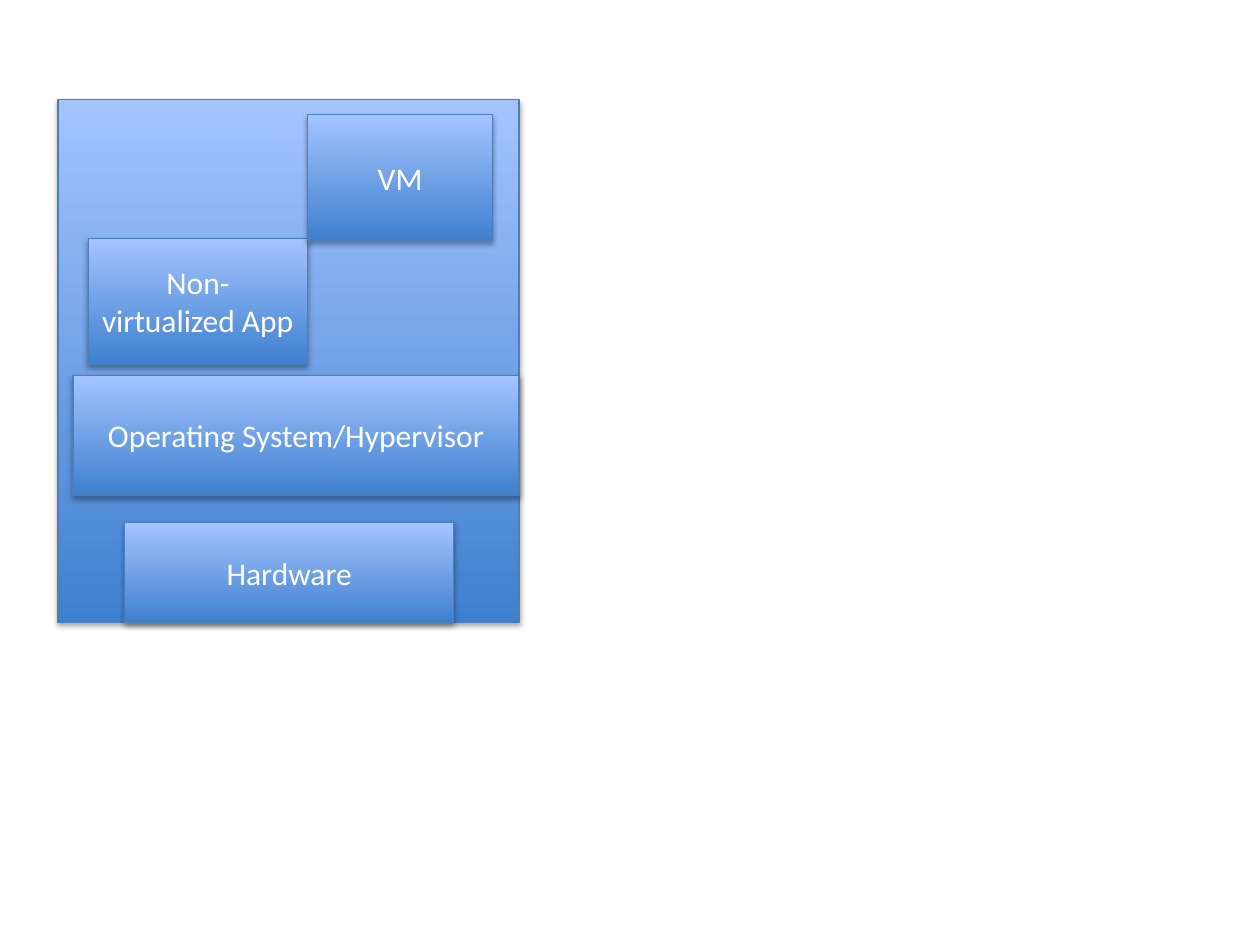
from lxml.etree import SubElement
from pptx import Presentation
from pptx.dml.color import RGBColor
from pptx.enum.shapes import MSO_SHAPE as Shape
from pptx.enum.text import MSO_ANCHOR as Anchor, PP_ALIGN as Align
from pptx.oxml.ns import qn
from pptx.util import Inches, Pt

COLORS = {
    "bottom": "3F80CE",
    "top": "A4C4FF",
    "border": "4B7EBC",
    "shadow": "000000",
    "label": "FFFFFF",
}
WIDTH, HEIGHT = Inches(10), Inches(7.5)
HOST = (4.6, 10.53, 36.6, 55.33)
LAYERS = [
    ("Hardware", (9.9, 55.33, 26.1, 10.53)),
    ("Operating System/Hypervisor", (5.8, 39.73, 35.4, 12.67)),
    ("Non-virtualized App", (7, 25.2, 17.4, 13.33)),
    ("VM", (24.4, 12.13, 14.7, 13.33)),
]


def color(name):
    """Return the named colour."""
    return RGBColor.from_string(COLORS[name])


def add_shadow(block):
    """Give the block a soft shadow that falls straight down."""
    block.shadow.inherit = False
    effects = block._element.spPr.find(qn("a:effectLst"))
    shadow = SubElement(effects, qn("a:outerShdw"), blurRad=str(Pt(3.15)),
                        dist=str(Pt(1.81)), dir="5400000", rotWithShape="0")
    tint = SubElement(shadow, qn("a:srgbClr"), val=COLORS["shadow"])
    SubElement(tint, qn("a:alpha"), val="35000")


def add_block(slide, area):
    """Add a gradient block; its area is in percent of the slide's size."""
    left, top, width, height = (
        round(share / 100 * side)
        for share, side in zip(area, (WIDTH, HEIGHT) * 2)
    )
    block = slide.shapes.add_shape(Shape.RECTANGLE, left, top, width, height)
    block.fill.gradient()
    block.fill.gradient_angle = 90
    for stop, position, name in zip(block.fill.gradient_stops, (0, 1), ("bottom", "top")):
        stop.position = position
        stop.color.rgb = color(name)
    block.line.color.rgb = color("border")
    block.line.width = Pt(0.75)
    add_shadow(block)
    return block


def add_label(block, text):
    """Write a centred label in the block."""
    frame = block.text_frame
    frame.word_wrap = True
    frame.vertical_anchor = Anchor.MIDDLE
    paragraph = frame.paragraphs[0]
    paragraph.alignment = Align.CENTER
    run = paragraph.add_run()
    run.text = text
    run.font.name = "Calibri"
    run.font.size = Pt(18)
    run.font.color.rgb = color("label")


def main():
    """Build the virtualization stack slide."""
    deck = Presentation()
    deck.slide_width, deck.slide_height = WIDTH, HEIGHT
    slide = deck.slides.add_slide(deck.slide_layouts[6])
    add_block(slide, HOST)
    for label, area in LAYERS:
        add_label(add_block(slide, area), label)
    deck.save("out.pptx")


if __name__ == "__main__":
    main()
